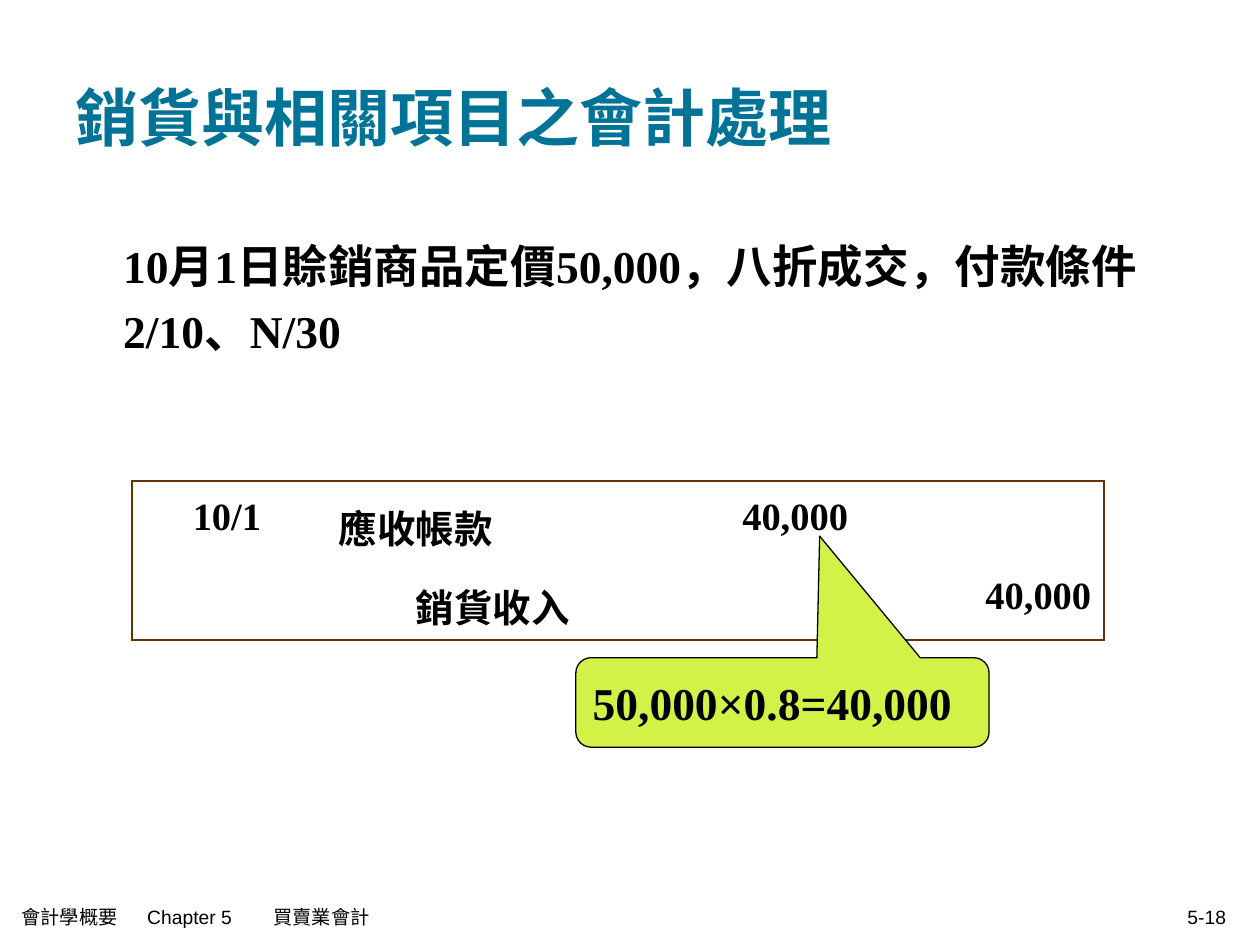
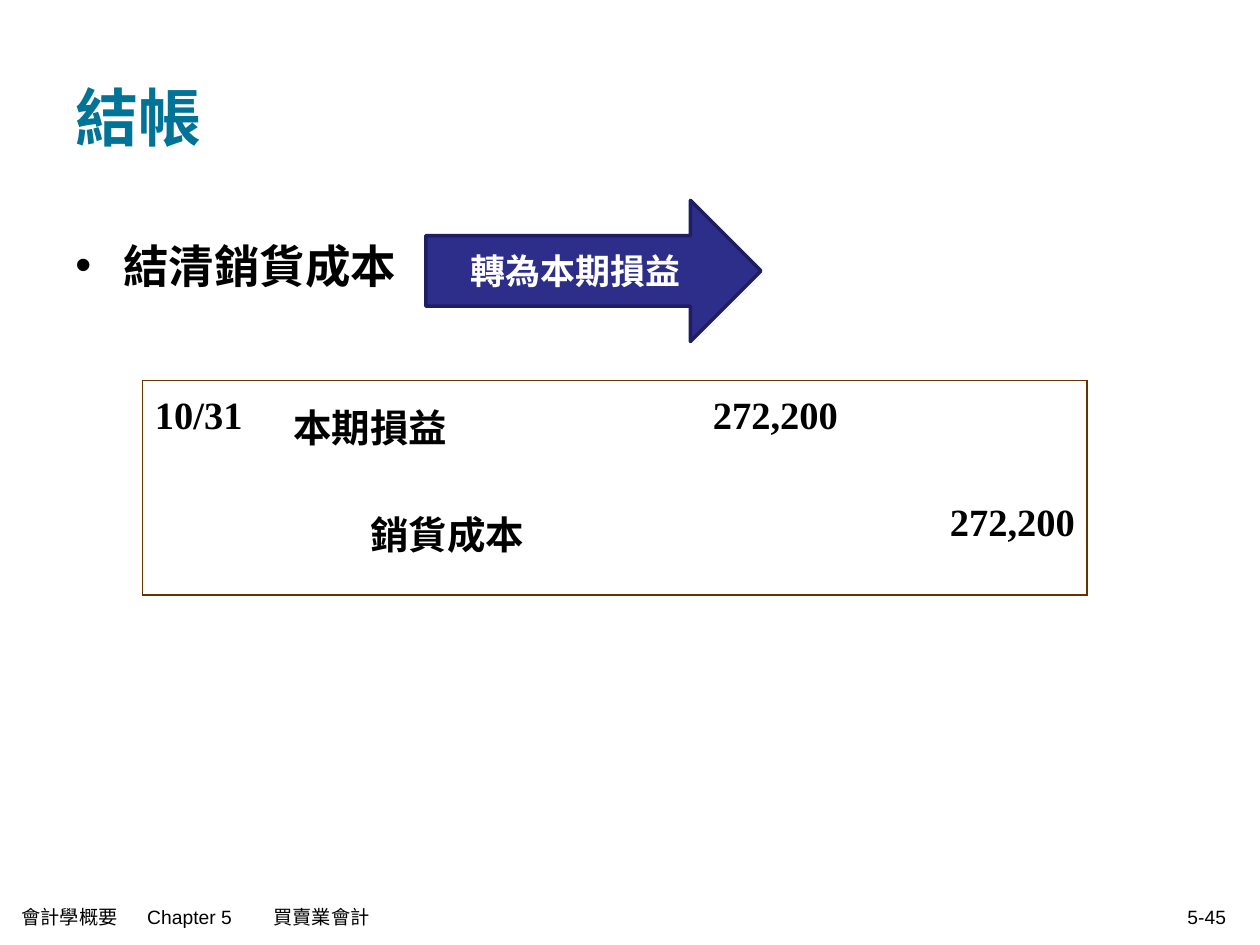
from dataclasses import dataclass
from typing import Any, NamedTuple

from lxml import etree
from pptx import Presentation
from pptx import util as u
from pptx.dml.color import RGBColor
from pptx.enum import shapes, text
from pptx.oxml.ns import qn

TEAL = RGBColor(0x00, 0x73, 0x96)
BLACK = RGBColor(0x00, 0x00, 0x00)
WHITE = RGBColor(0xFF, 0xFF, 0xFF)
BROWN = RGBColor(0x66, 0x33, 0x00)
LIME = RGBColor(0xD2, 0xF2, 0x48)
INDIGO = RGBColor(0x2D, 0x2D, 0x8A)
NAVY = RGBColor(0x1E, 0x1E, 0x64)

SERIF = "Times New Roman"
LEFT, CENTER, RIGHT = text.PP_ALIGN.LEFT, text.PP_ALIGN.CENTER, text.PP_ALIGN.RIGHT
TOP, MIDDLE = text.MSO_ANCHOR.TOP, text.MSO_ANCHOR.MIDDLE
BODY_INDENT = 0.38
CREDIT_INDENT = 0.61
BORDER_WIDTH = 1.08
FOOTER_TABS = (0.91, 1.74)


class Area(NamedTuple):
    left: float
    top: float
    width: float
    height: float

    def lengths(self) -> list[u.Length]:
        return [u.Inches(value) for value in self]


class Style(NamedTuple):
    size: float
    color: RGBColor = BLACK
    bold: bool = True
    name: str = SERIF
    align: Any = LEFT
    spacing: float = 1.0


TITLE = Style(36, TEAL)
BODY = Style(26, spacing=1.2)
ENTRY = Style(22, spacing=1.2)
AMOUNT = ENTRY._replace(align=RIGHT)
NOTE = Style(26)
ARROW = Style(20, WHITE, align=CENTER)
FOOTER = Style(11, bold=False, name="Arial")


@dataclass(frozen=True)
class JournalEntry:
    left: float
    top: float
    columns: tuple[float, ...]
    row_height: float
    date: str
    debit: str
    credit: str
    amount: str
    date_indent: float = 0.0


@dataclass(frozen=True)
class Callout:
    kind: Any
    area: Area
    adjustments: tuple[float, ...]
    fill: RGBColor
    line: RGBColor
    line_width: float
    words: str
    style: Style


@dataclass(frozen=True)
class Lesson:
    title: str
    body: str
    body_height: float
    bulleted: bool
    entry: JournalEntry
    callout: Callout
    number: str


def write(frame: Any, words: str, style: Style, indent: float = 0.0,
          bulleted: bool = False, tabs: tuple[float, ...] = ()) -> None:
    para = frame.paragraphs[0]
    para.text = words
    para.alignment = style.align
    para.line_spacing = style.spacing
    para.space_before = u.Pt(0)
    properties = para._p.get_or_add_pPr()
    properties.set("marL", str(u.Inches(indent)))
    properties.set("indent", str(-u.Inches(indent) if bulleted else 0))
    if bulleted:
        etree.SubElement(properties, qn("a:buFont"), typeface="Arial")
        etree.SubElement(properties, qn("a:buChar"), char="•")
    if tabs:
        stops = etree.SubElement(properties, qn("a:tabLst"))
        for position in tabs:
            etree.SubElement(stops, qn("a:tab"), pos=str(u.Inches(position)), algn="l")
    span = para.runs[0]
    formats = {"size": u.Pt(style.size), "bold": style.bold, "name": style.name}
    for attribute, value in formats.items():
        setattr(span.font, attribute, value)
    span.font.color.rgb = style.color


def set_frame(frame: Any, anchor: Any) -> None:
    formats = {
        "word_wrap": True, "auto_size": text.MSO_AUTO_SIZE.NONE, "vertical_anchor": anchor,
        "margin_left": u.Inches(0.1), "margin_right": u.Inches(0.1),
        "margin_top": u.Inches(0.05), "margin_bottom": u.Inches(0.05),
    }
    for attribute, value in formats.items():
        setattr(frame, attribute, value)


def add_text(page: Any, area: Area, words: str, style: Style, anchor: Any = MIDDLE,
             **layout: Any) -> None:
    box = page.shapes.add_textbox(*area.lengths())
    set_frame(box.text_frame, anchor)
    write(box.text_frame, words, style, **layout)


def add_title(page: Any, words: str) -> None:
    title = page.shapes.title
    title.left, title.top, title.width, title.height = Area(0.5, 0.3, 9, 1.25).lengths()
    set_frame(title.text_frame, MIDDLE)
    write(title.text_frame, words, TITLE)


def set_borders(cell: Any, visible: dict[str, bool]) -> None:
    properties = cell._tc.get_or_add_tcPr()
    for position, (side, shown) in enumerate(visible.items()):
        line = etree.Element(qn(f"a:{side}"), w=str(u.Pt(BORDER_WIDTH)))
        if shown:
            fill = etree.SubElement(line, qn("a:solidFill"))
            etree.SubElement(fill, qn("a:srgbClr"), val=str(BROWN))
        else:
            etree.SubElement(line, qn("a:noFill"))
        properties.insert(position, line)


def add_entry(page: Any, entry: JournalEntry) -> None:
    row_count, column_count = 2, len(entry.columns)
    area = Area(entry.left, entry.top, sum(entry.columns), row_count * entry.row_height)
    table = page.shapes.add_table(row_count, column_count, *area.lengths()).table
    table.first_row = table.horz_banding = False
    for column, width in zip(table.columns, entry.columns):
        column.width = u.Inches(width)
    for row_index in range(row_count):
        table.rows[row_index].height = u.Inches(entry.row_height)
        for column_index in range(column_count):
            cell = table.cell(row_index, column_index)
            cell.fill.background()
            set_borders(cell, {
                "lnL": column_index == 0,
                "lnR": column_index == column_count - 1,
                "lnT": row_index == 0,
                "lnB": row_index == row_count - 1,
            })
    contents = {
        (0, 0): (entry.date, ENTRY, entry.date_indent),
        (0, 1): (entry.debit, ENTRY, 0.0),
        (0, 2): (entry.amount, AMOUNT, 0.0),
        (1, 1): (entry.credit, ENTRY, CREDIT_INDENT),
        (1, 3): (entry.amount, AMOUNT, 0.0),
    }
    for place, (words, style, indent) in contents.items():
        write(table.cell(*place).text_frame, words, style, indent)


def add_callout(page: Any, callout: Callout) -> None:
    shape = page.shapes.add_shape(callout.kind, *callout.area.lengths())
    for index, value in enumerate(callout.adjustments):
        shape.adjustments[index] = value
    shape.shadow.inherit = False
    shape.fill.solid()
    shape.fill.fore_color.rgb = callout.fill
    shape.line.color.rgb = callout.line
    shape.line.width = u.Pt(callout.line_width)
    set_frame(shape.text_frame, MIDDLE)
    write(shape.text_frame, callout.words, callout.style)


def add_lesson(deck: Any, lesson: Lesson) -> None:
    page = deck.slides.add_slide(deck.slide_layouts[5])
    add_title(page, lesson.title)
    add_text(page, Area(0.5, 1.75, 9, lesson.body_height), lesson.body, BODY, TOP,
             indent=BODY_INDENT, bulleted=lesson.bulleted)
    add_entry(page, lesson.entry)
    add_callout(page, lesson.callout)
    add_text(page, Area(0.07, 7.11, 5.1, 0.33), "會計學概要\tChapter 5\t買賣業會計",
             FOOTER, tabs=FOOTER_TABS)
    add_text(page, Area(7.5, 7.11, 2.33, 0.33), lesson.number, FOOTER._replace(align=RIGHT))


LESSONS = (
    Lesson(
        "銷貨與相關項目之會計處理",
        "10月1日賒銷商品定價50,000，八折成交，付款條件2/10、N/30",
        1.3, False,
        JournalEntry(1.05, 3.82, (1.54, 2.65, 1.59, 1.93), 0.57,
                     "10/1", "應收帳款", "銷貨收入", "40,000", date_indent=0.38),
        Callout(shapes.MSO_SHAPE.ROUNDED_RECTANGULAR_CALLOUT, Area(4.57, 5.22, 3.28, 0.71),
                (0.09, -1.86, 0.17), LIME, BLACK, 0.75, "50,000×0.8=40,000", NOTE),
        "5-18",
    ),
    Lesson(
        "結帳", "結清銷貨成本", 4.95, True,
        JournalEntry(1.13, 3.02, (1.1, 2.65, 1.87, 1.88), 0.85,
                     "10/31", "本期損益", "銷貨成本", "272,200"),
        Callout(shapes.MSO_SHAPE.RIGHT_ARROW, Area(3.38, 1.59, 2.66, 1.12),
                (0.5, 0.5), INDIGO, NAVY, 2, "轉為本期損益", ARROW),
        "5-45",
    ),
)


def main() -> None:
    deck = Presentation()
    deck.slide_width, deck.slide_height = u.Inches(10), u.Inches(7.5)
    for lesson in LESSONS:
        add_lesson(deck, lesson)
    deck.save("out.pptx")


if __name__ == "__main__":
    main()
